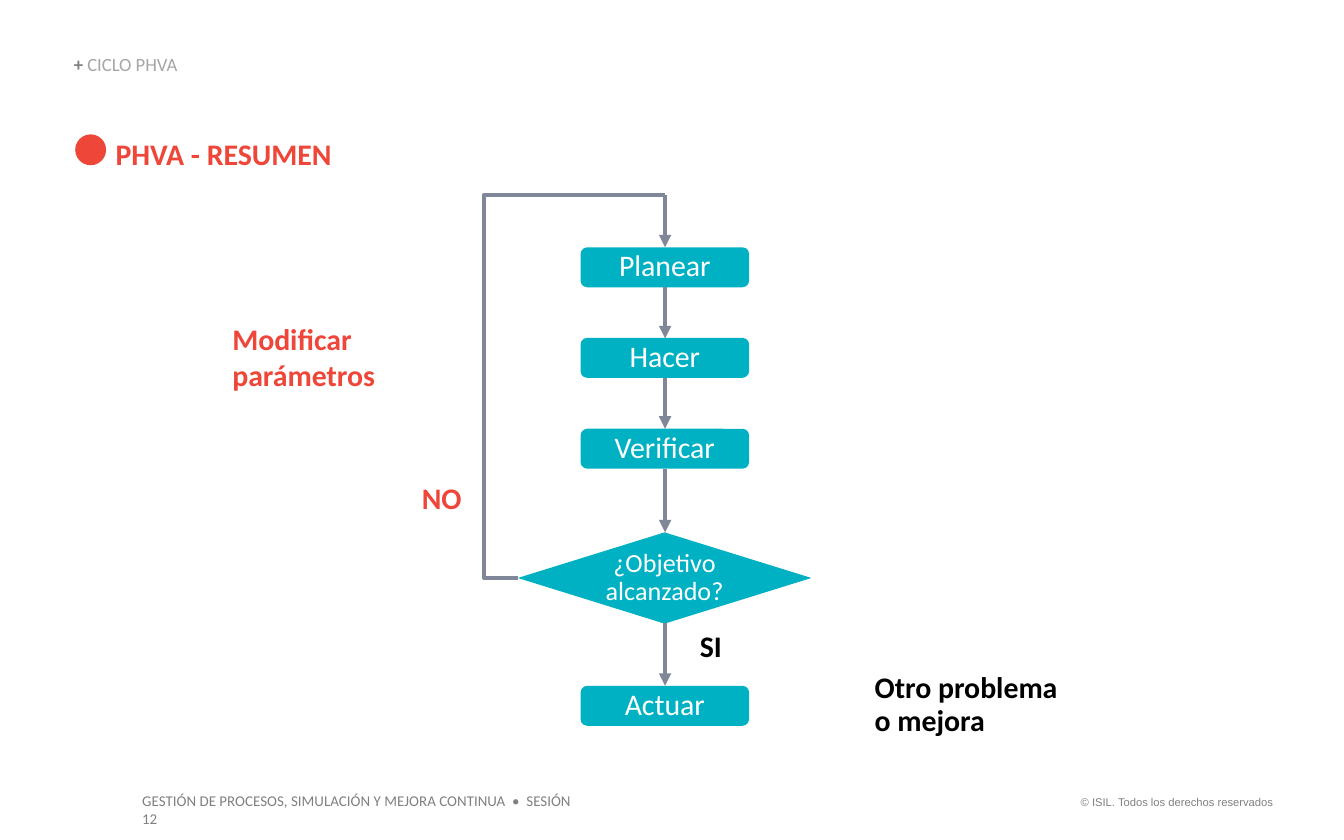
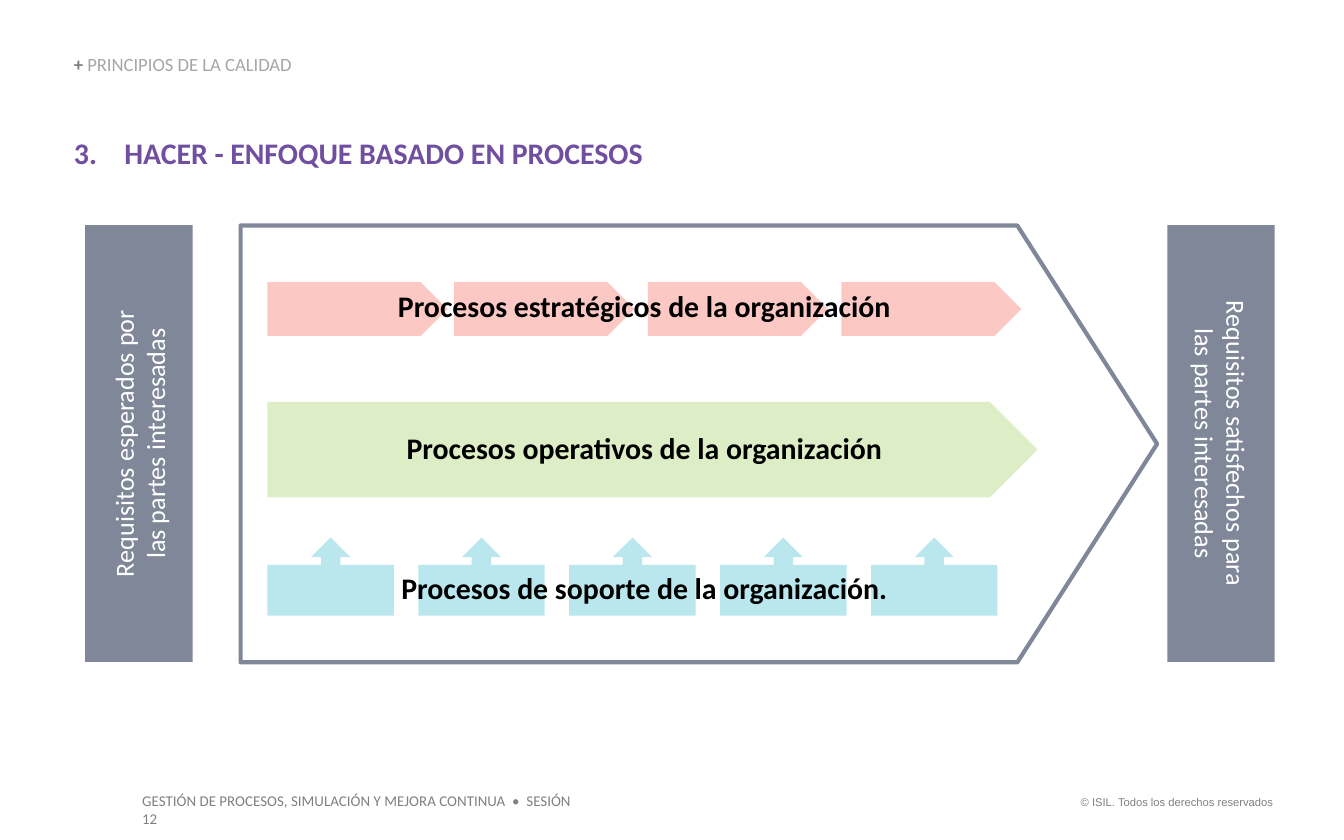
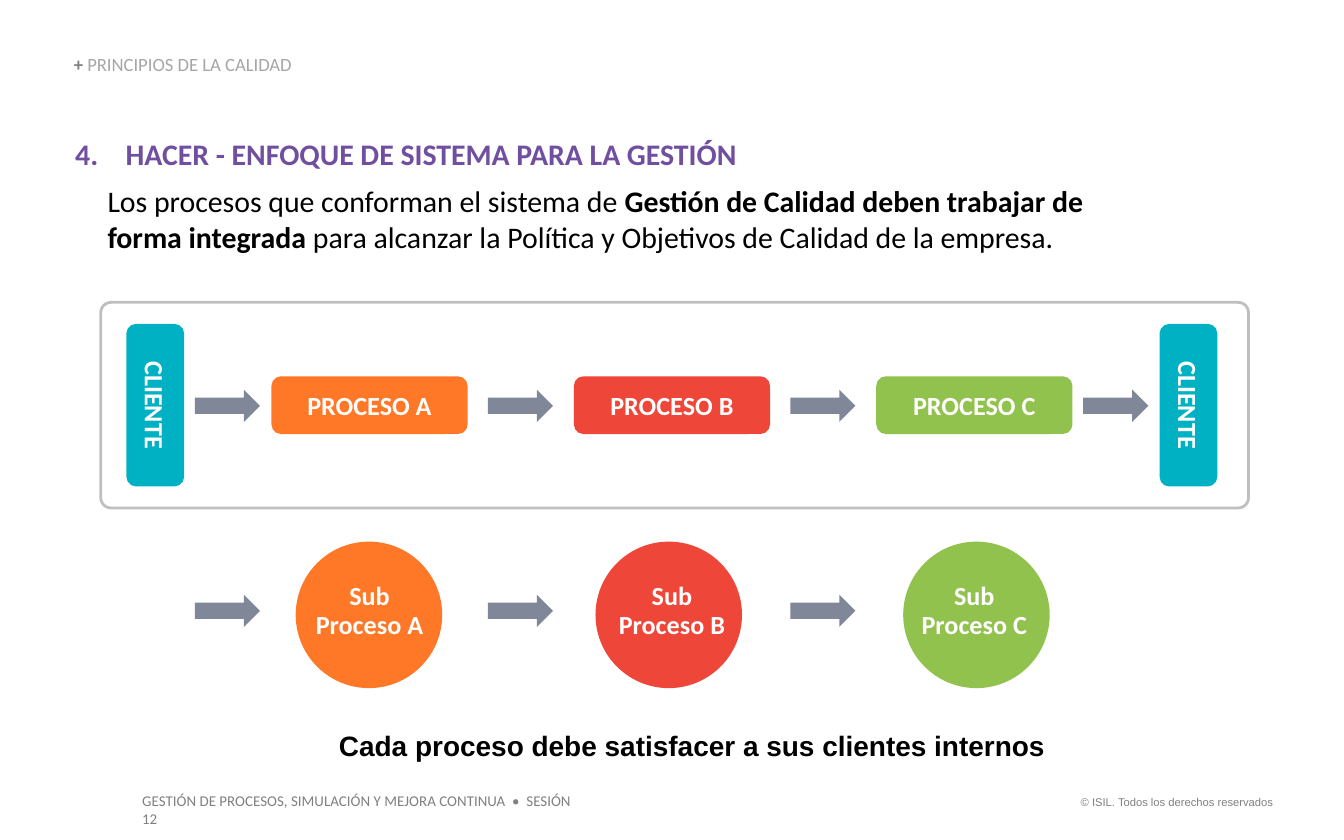
from lxml import etree
from pptx import Presentation
from pptx.dml.color import RGBColor
from pptx.enum import shapes, text
from pptx.oxml import ns
from pptx.util import Pt

TEAL = RGBColor(0x00, 0xB1, 0xC3)
RED = RGBColor(0xEE, 0x46, 0x39)
ORANGE = RGBColor(0xFF, 0x78, 0x27)
GREEN = RGBColor(0x92, 0xC2, 0x4E)
PURPLE = RGBColor(0x71, 0x4F, 0xA0)
SLATE = RGBColor(0x80, 0x87, 0x99)
PALE_RED = RGBColor(0xFB, 0xC8, 0xC4)
PALE_GREEN = RGBColor(0xDD, 0xEE, 0xC7)
PALE_TEAL = RGBColor(0xB9, 0xE7, 0xED)
GREY = RGBColor(0x80, 0x80, 0x80)
MID_GREY = RGBColor(0xA6, 0xA6, 0xA6)
LIGHT_GREY = RGBColor(0xBF, 0xBF, 0xBF)
BLACK = RGBColor(0, 0, 0)
WHITE = RGBColor(0xFF, 0xFF, 0xFF)

SHAPE = shapes.MSO_SHAPE
LEFT, CENTER, RIGHT = text.PP_ALIGN.LEFT, text.PP_ALIGN.CENTER, text.PP_ALIGN.RIGHT
TOP, MIDDLE, BOTTOM = text.MSO_ANCHOR.TOP, text.MSO_ANCHOR.MIDDLE, text.MSO_ANCHOR.BOTTOM


class Deck:
    """Shared style plus the slide being built; places are in points."""

    def __init__(self):
        self.prs = Presentation()
        self.prs.slide_width, self.prs.slide_height = Pt(720), Pt(450)
        self.slide = None

    def new_slide(self, section):
        self.slide = self.prs.slides.add_slide(self.prs.slide_layouts[6])
        self.label("© ISIL. Todos los derechos reservados", (567.36, 422.64, 121.68, 14.4),
                   size=6, color=GREY, bold=False, align=RIGHT, font="Arial")
        self.label("GESTIÓN DE PROCESOS, SIMULACIÓN Y MEJORA CONTINUA  •  SESIÓN 12",
                   (69.12, 420.48, 254.16, 17.28), size=8, color=GREY, bold=False)
        self.label([("+ ", True, GREY), (section, False, MID_GREY)],
                   (39.6, 29.52, 191.52, 10.8), size=10, spacing=0.9,
                   anchor=BOTTOM, inset=False)

    def paragraph(self, p, content, size=16, color=BLACK, bold=True, align=LEFT,
                  spacing=None, font="Calibri"):
        """Fill p with a string, or with (text, bold, color) runs."""
        p.alignment = align
        if spacing:
            p.line_spacing = spacing
        p.font.name, p.font.size = font, Pt(size)
        if isinstance(content, str):
            p.text = content
            p.font.bold, p.font.color.rgb = bold, color
            return
        for words, run_bold, run_color in content:
            run = p.add_run()
            run.text = words
            run.font.bold, run.font.color.rgb = run_bold, run_color

    def label(self, content, box, anchor=TOP, inset=True, **style):
        frame = self.slide.shapes.add_textbox(*map(Pt, box)).text_frame
        frame.word_wrap, frame.vertical_anchor = True, anchor
        if not inset:
            frame.margin_left = frame.margin_right = 0
            frame.margin_top = frame.margin_bottom = 0
        self.paragraph(frame.paragraphs[0], content, **style)
        return frame

    def heading(self, number, title, box):
        frame = self.label("", box, inset=False)
        p = frame.paragraphs[0]
        p_pr = p._p.get_or_add_pPr()
        p_pr.set("marL", str(Pt(27)))
        p_pr.set("indent", str(-Pt(27)))
        for old in list(p_pr):
            p_pr.remove(old)
        bullet_color = etree.SubElement(p_pr, ns.qn("a:buClr"))
        etree.SubElement(bullet_color, ns.qn("a:srgbClr"), val=str(PURPLE))
        etree.SubElement(p_pr, ns.qn("a:buFont"), typeface="+mj-lt")
        etree.SubElement(p_pr, ns.qn("a:buAutoNum"), type="arabicPeriod", startAt=str(number))
        p.space_after = Pt(6)
        self.paragraph(p, title, color=PURPLE)
        return frame

    def shape(self, kind, box, fill=None, line=None, width=0, content="",
              adjust=None, turn=0, **style):
        item = self.slide.shapes.add_shape(kind, *map(Pt, box))
        item.shadow.inherit = False
        item.rotation = turn
        if adjust is not None:
            item.adjustments[0] = adjust
        if fill is None:
            item.fill.background()
        else:
            item.fill.solid()
            item.fill.fore_color.rgb = fill
        if line is None:
            item.line.fill.background()
        else:
            item.line.color.rgb, item.line.width = line, Pt(width)
        if content:
            frame = item.text_frame
            frame.word_wrap, frame.vertical_anchor = True, MIDDLE
            style = {"color": WHITE, "align": CENTER, "size": 14, **style}
            for i, words in enumerate(content.split("\n")):
                p = frame.add_paragraph() if i else frame.paragraphs[0]
                self.paragraph(p, words, **style)

    def connector(self, start, end, kind=shapes.MSO_CONNECTOR.STRAIGHT, arrow=True):
        link = self.slide.shapes.add_connector(kind, *map(Pt, start + end))
        link.line.color.rgb, link.line.width = SLATE, Pt(2.25)
        if arrow:
            etree.SubElement(link.line._get_or_add_ln(), ns.qn("a:tailEnd"), type="triangle")
        etree.SubElement(link._element.spPr, ns.qn("a:effectLst"))
        return link

    def loop_back(self, start, end, bends):
        """Four-segment elbow that leaves to the left and returns above."""
        link = self.connector(start, end, shapes.MSO_CONNECTOR.ELBOW, arrow=False)
        properties = link._element.spPr
        xfrm = properties.find(ns.qn("a:xfrm"))
        xfrm.attrib.pop("flipV", None)
        xfrm.set("rot", "10800000")
        xfrm.set("flipH", "1")
        geometry = properties.find(ns.qn("a:prstGeom"))
        geometry.set("prst", "bentConnector4")
        guides = geometry.find(ns.qn("a:avLst"))
        if guides is None:
            guides = etree.SubElement(geometry, ns.qn("a:avLst"))
        for i, bend in enumerate(bends, 1):
            etree.SubElement(guides, ns.qn("a:gd"), name=f"adj{i}",
                             fmla=f"val {round(bend * 100000)}")


def build_cycle(deck):
    deck.new_slide("CICLO PHVA")
    deck.label("PHVA - RESUMEN", (61.92, 72.72, 294.48, 19.44), color=RED, inset=False)
    deck.shape(SHAPE.OVAL, (40.32, 72, 16.56, 16.56), RED)

    # Steps and decision
    steps = {"Planear": 132.48, "Hacer": 181, "Verificar": 229.68, "Actuar": 367.4}
    for step, top in steps.items():
        deck.shape(SHAPE.ROUNDED_RECTANGLE, (311.04, top, 90.3, 21.4), TEAL,
                   content=step, size=16, bold=False, spacing=0.9)
    deck.shape(SHAPE.DIAMOND, (277.4, 285.2, 157.3, 48.9), TEAL,
               content="¿Objetivo alcanzado?", bold=False, spacing=0.9)

    # Flow arrows
    axis = 356.3
    for start, end in ((104.4, 132.5), (153.9, 181.3), (202.4, 229.7),
                       (251.1, 285.2), (333.6, 367.4)):
        deck.connector((axis, start), (axis, end))
    deck.loop_back((277.4, 309.6), (axis, 104.4), (-0.23, 1))

    # Branch notes
    deck.label("Modificar parámetros", (117.36, 168.48, 118.8, 46.08), color=RED)
    deck.label("NO", (218.88, 255.6, 48.24, 24.48), color=RED, spacing=0.9)
    deck.label("SI", (367.92, 334.8, 48.24, 24.48), spacing=0.9)
    deck.label("Otro problema o mejora", (461.52, 357.12, 121.68, 42.48), spacing=0.9)


def build_process_map(deck):
    deck.new_slide("PRINCIPIOS DE LA CALIDAD")
    deck.heading(3, "HACER - ENFOQUE BASADO EN PROCESOS", (39.6, 72, 648.72, 19.44))
    deck.shape(SHAPE.PENTAGON, (128.88, 120.8, 491, 234), line=SLATE, width=2.25, adjust=0.32)

    # Support, operating and strategic processes
    left = 143.28
    for i in range(5):
        deck.shape(SHAPE.UP_ARROW_CALLOUT, (left + 80.85 * i, 288, 67.68, 41.76), PALE_TEAL)
    deck.shape(SHAPE.PENTAGON, (left, 215.3, 412.56, 51.1), PALE_GREEN)
    for x in (left, 243.36, 347.04, 450.72):
        deck.shape(SHAPE.PENTAGON, (x, 151.2, 96.48, 28.8), PALE_RED)
    for words, top in (("Procesos de soporte de la organización.", 301.68),
                       ("Procesos operativos de la organización", 226.8),
                       ("Procesos estratégicos de la organización", 150.5)):
        deck.label(words, (179.28, top, 331.92, 24.48), align=CENTER)

    # Stakeholder requirements on both sides
    for words, x, turn in (
            ("Requisitos satisfechos para\vlas partes interesadas", 537.1, 90),
            ("Requisitos esperados por\vlas partes interesadas", -42.5, 270)):
        deck.shape(SHAPE.RECTANGLE, (x, 208.8, 234, 57.6), SLATE,
                   content=words, bold=False, turn=turn)


def build_system(deck):
    deck.new_slide("PRINCIPIOS DE LA CALIDAD")
    body = deck.heading(4, "HACER - ENFOQUE DE SISTEMA PARA LA GESTIÓN",
                        (40.32, 72.72, 582.48, 102.96))
    statement = body.add_paragraph()
    statement._p.get_or_add_pPr().set("marL", str(Pt(17.28)))
    deck.paragraph(statement, [
        ("Los procesos que conforman el sistema de ", False, BLACK),
        ("Gestión de Calidad deben trabajar de forma integrada", True, BLACK),
        (" para alcanzar la Política y Objetivos de Calidad de la empresa.", False, BLACK)])

    # Processes with their subprocesses below
    processes = (("A", ORANGE, 158.4), ("B", RED, 319), ("C", GREEN, 483.84))
    for i, (letter, color, circle_left) in enumerate(processes):
        x = 145.44 + 162 * i
        deck.shape(SHAPE.OVAL, (circle_left, 290.16, 78.48, 78.48), color)
        deck.shape(SHAPE.ROUNDED_RECTANGLE, (x, 201.6, 105.12, 30.96), color,
                   content=f"PROCESO {letter}")
        deck.shape(SHAPE.ROUNDED_RECTANGLE, (x, 308.88, 105.12, 37.44),
                   content=f"Sub\nProceso {letter}", spacing=0.9)

    # Clients at both ends
    for x in (39.6, 593.1):
        deck.shape(SHAPE.ROUNDED_RECTANGLE, (x, 201.6, 87.12, 30.96), TEAL,
                   content="CLIENTE", turn=90)

    # Arrows: four in the upper row, three in the lower
    arrow_lefts = (104.4, 261.36, 423.36, 580.32)
    for top, lefts in ((208.8, arrow_lefts), (318.6, arrow_lefts[:3])):
        for x in lefts:
            deck.shape(SHAPE.RIGHT_ARROW, (x, top, 34.9, 17.28), SLATE)

    deck.shape(SHAPE.ROUNDED_RECTANGLE, (54, 162, 614.88, 110.16),
               line=LIGHT_GREY, width=1.5, adjust=0.05)
    deck.label("Cada proceso debe satisfacer a sus clientes internos",
               (167.04, 386.64, 407.52, 25.2), size=15, align=CENTER, font="Arial")


def main():
    deck = Deck()
    build_cycle(deck)
    build_process_map(deck)
    build_system(deck)
    deck.prs.save("out.pptx")


if __name__ == "__main__":
    main()
